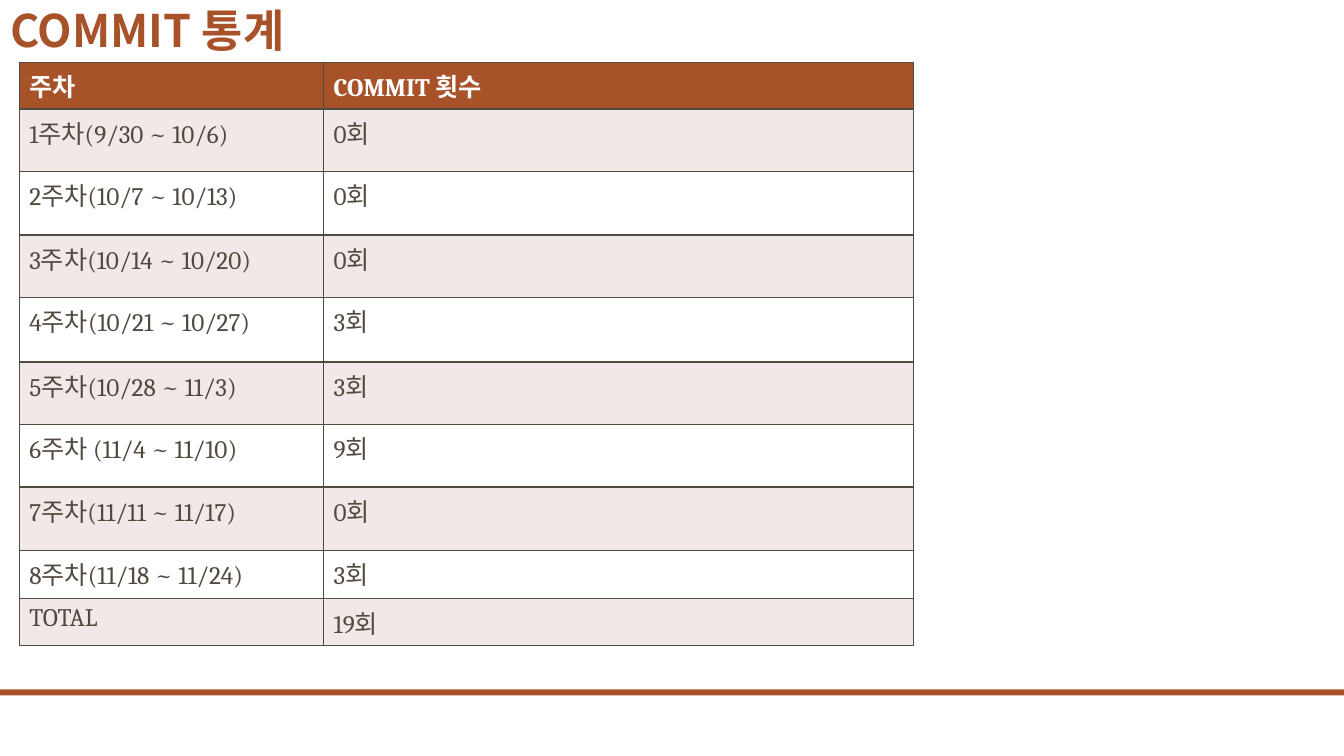
from dataclasses import dataclass
from lxml.etree import SubElement as Sub
from pptx import Presentation
from pptx.dml.color import RGBColor as Rgb
from pptx.enum.shapes import MSO_SHAPE as Kind
from pptx.enum.text import MSO_ANCHOR as Anchor, MSO_AUTO_SIZE as Fit, PP_ALIGN as Align
from pptx.oxml.ns import qn
from pptx.util import Inches, Pt


@dataclass(frozen=True)
class Theme:
    """Colours, fonts and type sizes of the slide."""
    rust: str = "A85229"
    ink: str = "514A40"
    tint: str = "F1E9E8"
    white: str = "FFFFFF"
    serif: str = "Cambria"
    sans: str = "Noto Sans CJK KR"
    head: int = 32
    body: int = 18


THEME = Theme()
WIDTH, HEIGHT = 13.33, 7.5
COLS = (3.02, 5.85)
TALLS = (0.32, 0.62, 0.63, 0.62, 0.64, 0.62, 0.62, 0.63, 0.48, 0.44)
ROWS = (
    ("주차", "COMMIT 횟수"),
    ("1주차(9/30 ~ 10/6)", "0회"),
    ("2주차(10/7 ~ 10/13)", "0회"),
    ("3주차(10/14 ~ 10/20)", "0회"),
    ("4주차(10/21 ~ 10/27)", "3회"),
    ("5주차(10/28 ~ 11/3)", "3회"),
    ("6주차 (11/4 ~ 11/10)", "9회"),
    ("7주차(11/11 ~ 11/17)", "0회"),
    ("8주차(11/18 ~ 11/24)", "3회"),
    ("TOTAL", "19회"),
)


def add_run(para, text, face, size, color, bold):
    """Add one styled run to a paragraph."""
    run = para.add_run()
    run.text = text
    font = run.font
    font.name, font.size, font.bold = face, Pt(size), bold
    font.color.rgb = Rgb.from_string(color)
    Sub(font._element, qn("a:ea"), typeface=THEME.sans)


def add_title(slide, box):
    """Place the slide title in its box."""
    title = slide.shapes.title
    title.left, title.top, title.width, title.height = map(Inches, box)
    frame = title.text_frame
    frame.auto_size = Fit.NONE
    frame.vertical_anchor = Anchor.BOTTOM
    para = frame.paragraphs[0]
    para.alignment, para.line_spacing = Align.LEFT, 0.9
    add_run(para, "COMMIT 통계", THEME.sans, THEME.head, THEME.rust, True)


def add_edges(cell):
    """Draw a thin line on all four sides of a cell."""
    props = cell._tc.get_or_add_tcPr()
    for side in "LRTB":
        line = Sub(props, qn(f"a:ln{side}"), w=str(Pt(1)))
        Sub(Sub(line, qn("a:solidFill")), qn("a:srgbClr"), val=THEME.ink)


def fill_cell(cell, text, row):
    """Write and colour one cell according to its row."""
    top = row == 0
    back = THEME.rust if top else THEME.tint if row % 2 else THEME.white
    add_edges(cell)
    cell.fill.solid()
    cell.fill.fore_color.rgb = Rgb.from_string(back)
    color = THEME.white if top else THEME.ink
    add_run(cell.text_frame.paragraphs[0], text, THEME.serif, THEME.body, color, top)


def add_counts(slide, box):
    """Build the table of weekly commit counts in its box."""
    table = slide.shapes.add_table(len(ROWS), len(COLS), *map(Inches, box)).table
    for col, wide in zip(table.columns, COLS):
        col.width = Inches(wide)
    for row, tall in zip(table.rows, TALLS):
        row.height = Inches(tall)
    for i, texts in enumerate(ROWS):
        for j, text in enumerate(texts):
            fill_cell(table.cell(i, j), text, i)


def add_bar(slide, box):
    """Draw the footer bar in its box."""
    bar = slide.shapes.add_shape(Kind.RECTANGLE, *map(Inches, box))
    bar.shadow.inherit = False
    bar.fill.solid()
    bar.fill.fore_color.rgb = Rgb.from_string(THEME.rust)
    bar.line.fill.background()


def main():
    """Build and save the slide."""
    deck = Presentation()
    deck.slide_width, deck.slide_height = Inches(WIDTH), Inches(HEIGHT)
    slide = deck.slides.add_slide(deck.slide_layouts[5])
    add_bar(slide, (0, 6.84, WIDTH, 0.06))
    add_title(slide, (0, 0, 10.5, 0.62))
    add_counts(slide, (0.19, 0.62, sum(COLS), sum(TALLS)))
    deck.save("out.pptx")


if __name__ == "__main__":
    main()
